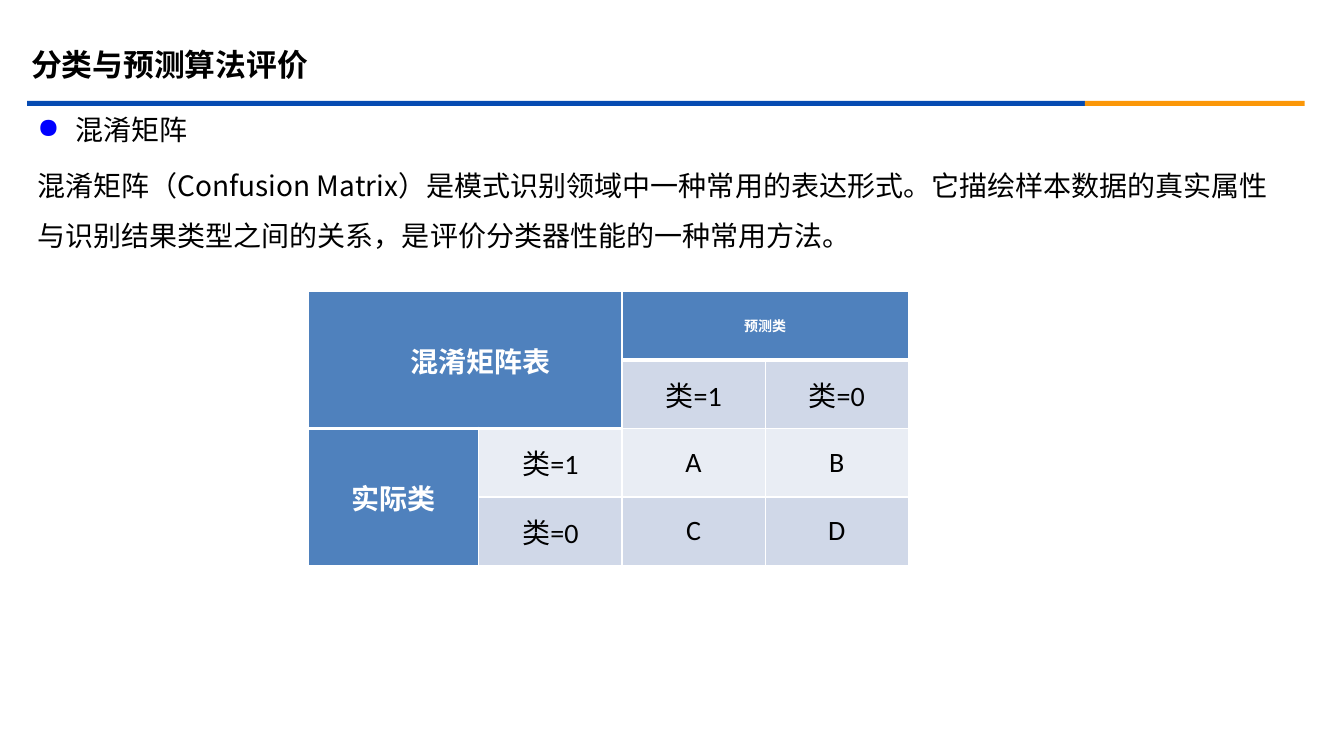
from lxml.etree import SubElement
from pptx import Presentation
from pptx.dml.color import RGBColor
from pptx.enum.shapes import MSO_SHAPE
from pptx.enum.text import MSO_ANCHOR, PP_ALIGN
from pptx.oxml.ns import qn
from pptx.util import Inches, Pt

BLACK = RGBColor(0x00, 0x00, 0x00)
WHITE = RGBColor(0xFF, 0xFF, 0xFF)
RULE_BLUE = RGBColor(0x06, 0x4B, 0xB2)
RULE_ORANGE = RGBColor(0xFB, 0x97, 0x08)
BULLET_BLUE = RGBColor(0x00, 0x00, 0xFF)
HEADER_BLUE = RGBColor(0x4F, 0x81, 0xBD)
BAND_DARK = RGBColor(0xD0, 0xD8, 0xE8)
BAND_LIGHT = RGBColor(0xE9, 0xED, 0xF4)

TITLE = "分类与预测算法评价"
TOPIC = "混淆矩阵"
DEFINITION = (
    "混淆矩阵（Confusion Matrix）是模式识别领域中一种常用的表达形式。"
    "它描绘样本数据的真实属性与识别结果类型之间的关系，是评价分类器性能的一种常用方法。"
)
MATRIX = [
    ["混淆矩阵表", "", "预测类", ""],
    ["", "", "类=1", "类=0"],
    ["实际类", "类=1", "A", "B"],
    ["", "类=0", "C", "D"],
]
MERGES = [((0, 0), (1, 1)), ((0, 2), (0, 3)), ((2, 0), (3, 0))]
COLUMN_WIDTHS = [1.69, 1.42, 1.42, 1.42]


def style_text(para, font_name, size, color, bold=False):
    """Format every run of a paragraph."""
    for span in para.runs:
        span.font.name = font_name
        span.font.size = Pt(size)
        span.font.color.rgb = color
        span.font.bold = bold


def add_heading(page, left, top, width, height):
    """Place the title and the two-colour rule beneath it."""
    box = page.shapes.add_textbox(
        Inches(left), Inches(top), Inches(width), Inches(height))
    frame = box.text_frame
    frame.word_wrap = True
    frame.vertical_anchor = MSO_ANCHOR.MIDDLE
    frame.text = TITLE
    style_text(frame.paragraphs[0], "Arial", 22, BLACK, True)
    rule_left = left + 0.06
    for rule_width, color in ((10.49, RULE_BLUE), (2.18, RULE_ORANGE)):
        rule = page.shapes.add_shape(
            MSO_SHAPE.RECTANGLE, Inches(rule_left), Inches(top + 0.6),
            Inches(rule_width), Inches(0.05))
        rule.shadow.inherit = False
        rule.fill.solid()
        rule.fill.fore_color.rgb = color
        rule.line.fill.background()
        rule_left += rule_width


def add_bullet(para):
    """Give a paragraph a hanging blue round bullet."""
    properties = para._p.get_or_add_pPr()
    properties.set("marL", str(Inches(0.38)))
    properties.set("indent", str(-Inches(0.38)))
    color = SubElement(properties, qn("a:buClr"))
    SubElement(color, qn("a:srgbClr"), val=str(BULLET_BLUE))
    SubElement(properties, qn("a:buChar"), char="●")


def add_definition(page, left, top, width, height):
    """Place the bulleted topic and its definition."""
    box = page.shapes.add_textbox(
        Inches(left), Inches(top), Inches(width), Inches(height))
    frame = box.text_frame
    frame.word_wrap = True
    frame.margin_left = frame.margin_right = 0
    frame.margin_top = frame.margin_bottom = 0
    frame.text = f"{TOPIC}\n{DEFINITION}"
    topic, definition = frame.paragraphs
    add_bullet(topic)
    definition.space_before = Pt(4)
    for para in frame.paragraphs:
        para.line_spacing = 1.5
        style_text(para, "Noto Sans CJK SC", 20, BLACK)


def add_borders(cell, bottom_width):
    """Draw white cell borders with a chosen bottom width."""
    properties = cell._tc.get_or_add_tcPr()
    for side in "LRTB":
        width = bottom_width if side == "B" else 1
        line = SubElement(properties, qn(f"a:ln{side}"), w=str(Pt(width)))
        fill = SubElement(line, qn("a:solidFill"))
        SubElement(fill, qn("a:srgbClr"), val=str(WHITE))


def style_cell(cell, row, column):
    """Colour and align a cell by its place in the matrix."""
    corner = row < 2 and column < 2
    header = row == 0 or column == 0 or corner
    add_borders(cell, 3 if row == 0 or corner else 1)
    cell.fill.solid()
    band = BAND_LIGHT if row == 2 else BAND_DARK
    cell.fill.fore_color.rgb = HEADER_BLUE if header else band
    cell.vertical_anchor = MSO_ANCHOR.MIDDLE
    cell.margin_left = cell.margin_right = Inches(0.07)
    cell.margin_top = cell.margin_bottom = 0
    para = cell.text_frame.paragraphs[0]
    para.alignment = PP_ALIGN.CENTER
    if row == column == 0:
        para._p.get_or_add_pPr().set("indent", str(Inches(0.31)))
    size = 10 if (row, column) == (0, 2) else 20
    style_text(para, "Calibri", size, WHITE if header else BLACK, header)


def add_matrix(page, left, top, width, height):
    """Place the confusion matrix table."""
    table = page.shapes.add_table(
        len(MATRIX), len(COLUMN_WIDTHS), Inches(left), Inches(top),
        Inches(width), Inches(height)).table
    table.first_row = table.horz_banding = False
    for column, column_width in zip(table.columns, COLUMN_WIDTHS):
        column.width = Inches(column_width)
    for row, labels in enumerate(MATRIX):
        for column, label in enumerate(labels):
            cell = table.cell(row, column)
            cell.text_frame.text = label
            style_cell(cell, row, column)
    for first, last in MERGES:
        table.cell(*first).merge(table.cell(*last))


def main():
    """Build and save the slide."""
    deck = Presentation()
    deck.slide_width = Inches(13.33)
    deck.slide_height = Inches(7.5)
    page = deck.slides.add_slide(deck.slide_layouts[6])
    add_heading(page, 0.21, 0.4, 12.13, 0.47)
    add_definition(page, 0.37, 0.95, 12.29, 1.58)
    add_matrix(page, 3.06, 2.89, sum(COLUMN_WIDTHS), 2.72)
    deck.save("out.pptx")


if __name__ == "__main__":
    main()
